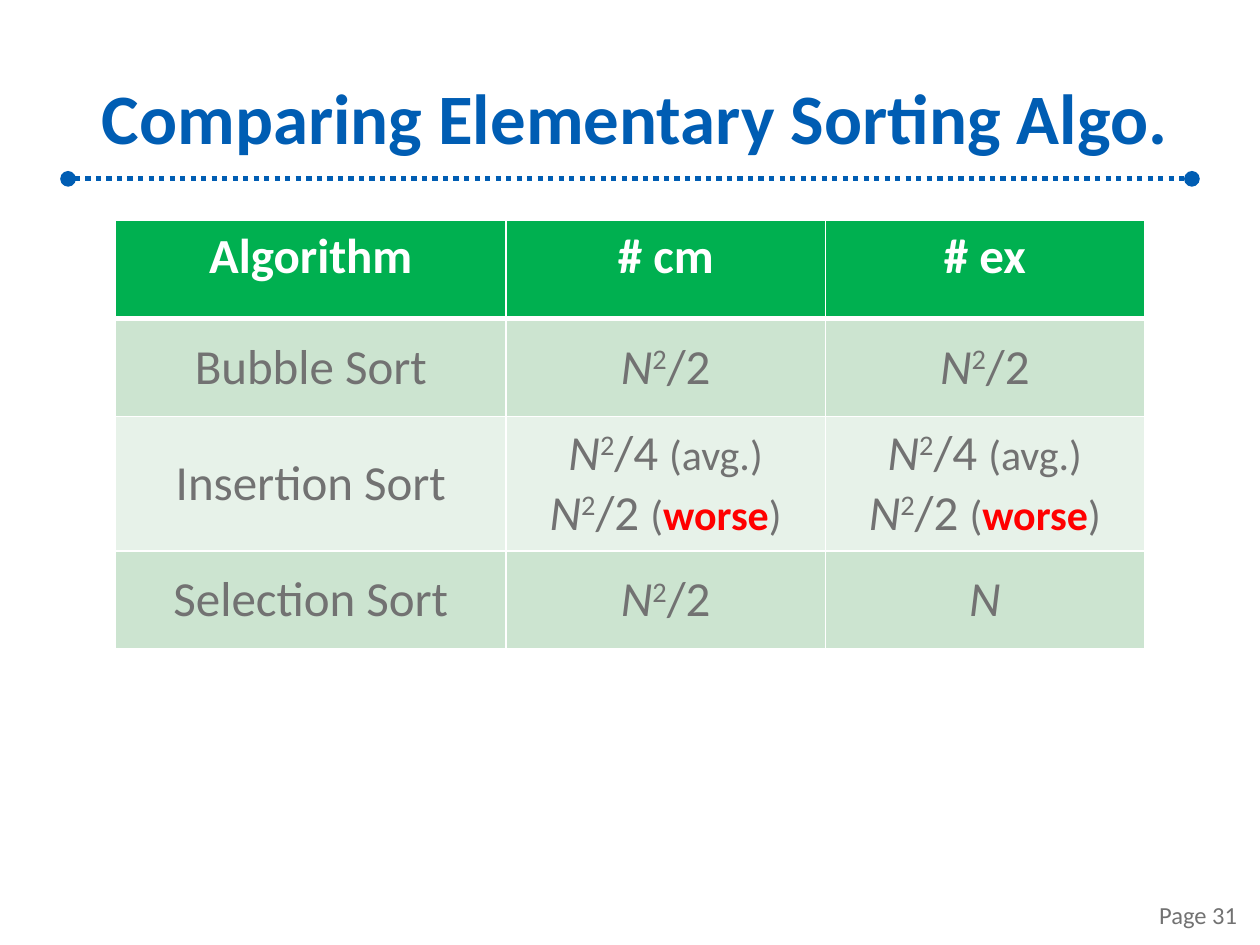
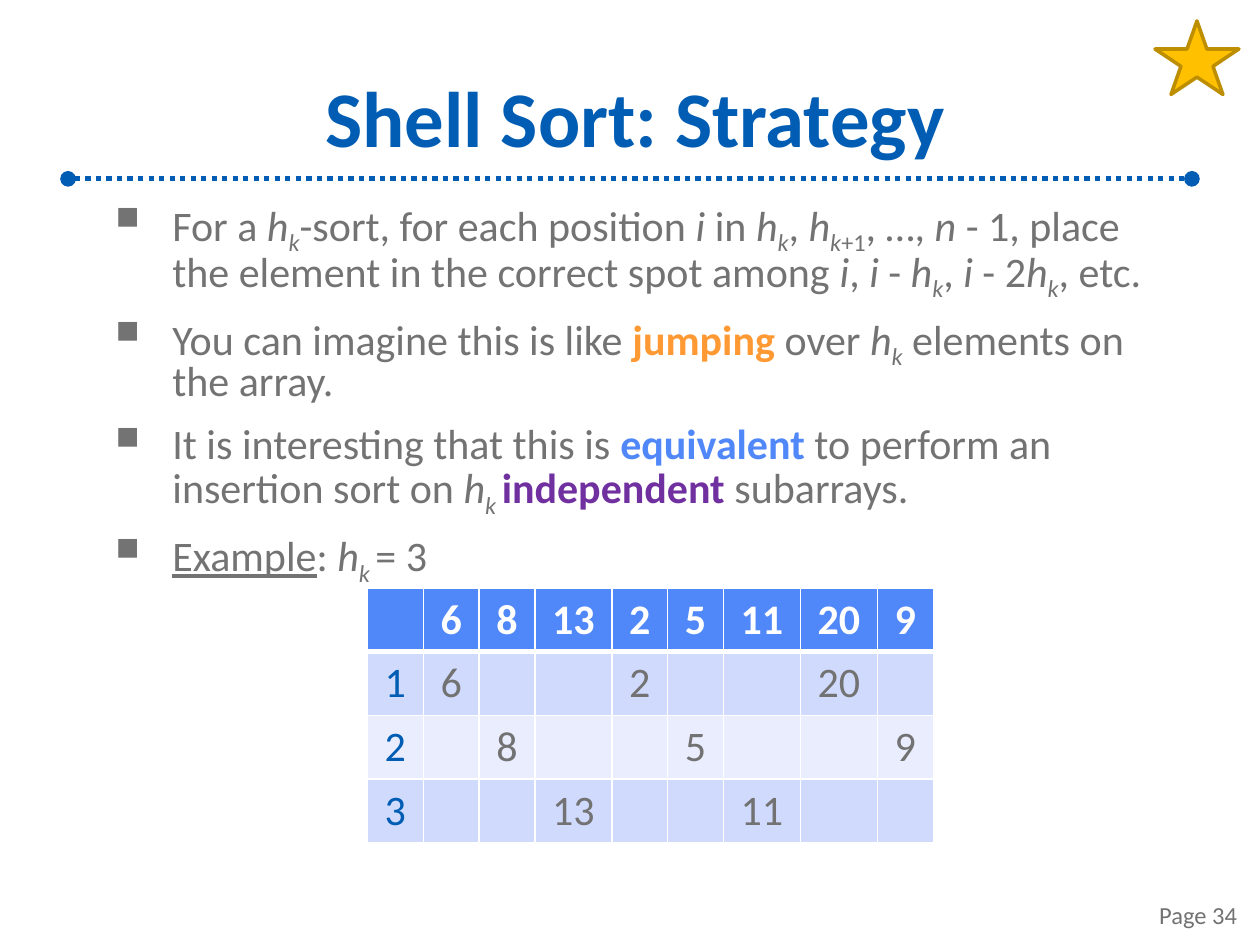
"""Builds two slides on elementary sorting algorithms and Shell sort."""
from lxml import etree
from pptx import Presentation
from pptx.dml.color import RGBColor
from pptx.enum.dml import MSO_LINE
from pptx.enum.shapes import MSO_CONNECTOR, MSO_SHAPE
from pptx.enum.text import MSO_ANCHOR, PP_ALIGN
from pptx.oxml.ns import qn
from pptx.util import Pt

CENTER, RIGHT = PP_ALIGN.CENTER, PP_ALIGN.RIGHT
TOP, MIDDLE, BOTTOM = MSO_ANCHOR.TOP, MSO_ANCHOR.MIDDLE, MSO_ANCHOR.BOTTOM
STRAIGHT, STAR, DOTTED = MSO_CONNECTOR.STRAIGHT, MSO_SHAPE.STAR_5_POINT, MSO_LINE.ROUND_DOT

FONT = "Calibri"
WHITE = RGBColor(0xFF, 0xFF, 0xFF)
NAVY = RGBColor(0x00, 0x5D, 0xB3)
GRAY = RGBColor(0x72, 0x72, 0x72)
BODY_GRAY = RGBColor(0x73, 0x73, 0x73)
RED = RGBColor(0xFF, 0x00, 0x00)
ORANGE = RGBColor(0xFF, 0x99, 0x33)
PURPLE = RGBColor(0x70, 0x30, 0xA0)
GREEN = RGBColor(0x00, 0xB0, 0x50)
GREEN_BANDS = (RGBColor(0xCC, 0xE4, 0xD0), RGBColor(0xE7, 0xF2, 0xE9))
BLUE = RGBColor(0x51, 0x88, 0xF9)
BLUE_BANDS = (RGBColor(0xD0, 0xDA, 0xFD), RGBColor(0xE9, 0xED, 0xFE))
GOLD = RGBColor(0xFF, 0xC0, 0x00)
DARK_GOLD = RGBColor(0xBD, 0x8E, 0x00)

ITALIC = {"italic": True}
SUBSCRIPT = {"italic": True, "baseline": -25}
SUPERSCRIPT = {"baseline": 30}
SMALL = {"size": 24}

H_K = [("h", ITALIC), ("k", SUBSCRIPT)]
H_K_SPACED = [("h", ITALIC), ("k ", SUBSCRIPT)]
I = ("i", ITALIC)
N_SQUARED = [("N", ITALIC), ("2", SUPERSCRIPT)]
HALF = [*N_SQUARED, "/2"]
AVERAGE_AND_WORSE = [
    *N_SQUARED, "/4 ", ("(avg.)", SMALL), "\n",
    *N_SQUARED, "/2 ", ("(", SMALL),
    ("worse", {"size": 24, "color": RED, "bold": True}), (")", SMALL),
]
COMPARISON = [
    ["Algorithm", "# cm", "# ex"],
    ["Bubble Sort", HALF, HALF],
    ["Insertion Sort", AVERAGE_AND_WORSE, AVERAGE_AND_WORSE],
    ["Selection Sort", HALF, [("N", ITALIC)]],
]
STRATEGY = [
    ["For a ", *H_K, "-sort, for each position ", I, " in ", *H_K, ", ", *H_K,
     ("+1", {"baseline": -25}), ", …, ", ("n", ITALIC),
     " - 1, place the element in the correct spot among ", I, ", ", I, " - ", *H_K,
     ", ", I, " - 2", *H_K, ", etc."],
    ["You can imagine this is like ", ("jumping", {"color": ORANGE, "bold": True}),
     " over ", *H_K, " elements on the array."],
    ["It is interesting that this is ", ("equivalent", {"color": BLUE, "bold": True}),
     " to perform an insertion sort on ", *H_K_SPACED,
     ("independent", {"color": PURPLE, "bold": True}), " subarrays."],
    [("Example", {"underline": True}), ": ", *H_K_SPACED, "= 3"],
]
NUMBERS = ["6", "8", "13", "2", "5", "11", "20", "9"]
GAP = 3


def format_run(run, size, color, bold=False, italic=False, underline=False, baseline=0):
    """Apply the character style to a run."""
    font = run.font
    font.name, font.size, font.color.rgb = FONT, Pt(size), color
    font.bold, font.italic, font.underline = bold, italic, underline
    if baseline:
        run._r.get_or_add_rPr().set("baseline", str(baseline * 1000))


def write(paragraph, content, align=None, **base):
    """Fill a paragraph with a string or a list of styled pieces."""
    paragraph.alignment = align
    for piece in [content] if isinstance(content, str) else content:
        if piece == "\n":
            paragraph.add_line_break()
            continue
        text, style = (piece, {}) if isinstance(piece, str) else piece
        run = paragraph.add_run()
        run.text = text
        format_run(run, **{**base, **style})


def add_text_frame(slide, left, top, width, height, anchor, inset=None):
    """Add a wrapping text box and return its frame."""
    frame = slide.shapes.add_textbox(Pt(left), Pt(top), Pt(width), Pt(height)).text_frame
    frame.word_wrap = True
    frame.vertical_anchor = anchor
    if inset is not None:
        frame.margin_left = frame.margin_right = Pt(inset)
        frame.margin_top = frame.margin_bottom = Pt(inset)
    return frame


def add_title_rule(slide):
    """Draw the dotted rule with round ends below the title."""
    rule = slide.shapes.add_connector(STRAIGHT, Pt(38.9), Pt(102.2), Pt(681.1), Pt(102.2))
    rule.line.color.rgb = NAVY
    rule.line.width = Pt(3)
    rule.line.dash_style = DOTTED
    outline = rule.line._get_or_add_ln()
    for end in ("a:headEnd", "a:tailEnd"):
        etree.SubElement(outline, qn(end), type="oval")
    etree.SubElement(rule._element.spPr, qn("a:effectLst"))


def add_base_slide(deck, title, title_size, page):
    """Add a blank slide with the shared rule, title and page number."""
    slide = deck.slides.add_slide(deck.slide_layouts[6])
    add_title_rule(slide)
    heading = add_text_frame(slide, 48, 30, 630, 73, MIDDLE, 3)
    write(heading.paragraphs[0], title, CENTER, size=title_size, color=NAVY, bold=True)
    footer = add_text_frame(slide, 630, 497, 84, 37.5, BOTTOM)
    write(footer.paragraphs[0], f"Page {page}", RIGHT, size=14, color=GRAY)
    return slide


def set_borders(cell, top, bottom):
    """Give a cell white borders, with its own top and bottom widths."""
    properties = cell._tc.get_or_add_tcPr()
    for side, width in (("L", 1), ("R", 1), ("T", top), ("B", bottom)):
        border = etree.SubElement(properties, qn(f"a:ln{side}"), w=str(Pt(width)))
        fill = etree.SubElement(border, qn("a:solidFill"))
        etree.SubElement(fill, qn("a:srgbClr"), val=str(WHITE))


def add_banded_table(slide, left, top, widths, heights, rows, size, head, bands,
                     head_anchor=MIDDLE, label_color=GRAY):
    """Add a table with a coloured header row and alternating bands."""
    table = slide.shapes.add_table(len(rows), len(widths), Pt(left), Pt(top),
                                   Pt(sum(widths)), Pt(sum(heights))).table
    table.horz_banding = False
    for column, width in zip(table.columns, widths):
        column.width = Pt(width)
    for r, (contents, height) in enumerate(zip(rows, heights)):
        table.rows[r].height = Pt(height)
        is_head = r == 0
        for c, content in enumerate(contents):
            cell = table.cell(r, c)
            set_borders(cell, 3 if r == 1 else 1, 3 if is_head else 1)
            cell.fill.solid()
            cell.fill.fore_color.rgb = head if is_head else bands[(r - 1) % 2]
            cell.vertical_anchor = head_anchor if is_head else MIDDLE
            color = WHITE if is_head else label_color if c == 0 else GRAY
            if content:
                write(cell.text_frame.paragraphs[0], content, CENTER,
                      size=size, color=color, bold=is_head)


def add_bullets(slide, items):
    """Add the body text with square bullets."""
    frame = add_text_frame(slide, 48, 114, 630, 246, TOP, 3)
    for index, item in enumerate(items):
        paragraph = frame.add_paragraph() if index else frame.paragraphs[0]
        paragraph.line_spacing = 0.8
        paragraph.space_before = Pt(12.6)
        properties = paragraph._p.get_or_add_pPr()
        properties.set("marL", str(Pt(47.5)))
        properties.set("indent", str(Pt(-32.4)))
        etree.SubElement(properties, qn("a:buSzPct"), val="77000")
        etree.SubElement(properties, qn("a:buChar"), char="■")
        write(paragraph, item, size=24, color=BODY_GRAY)


def add_star(slide):
    """Add the gold star in the top right corner."""
    star = slide.shapes.add_shape(STAR, Pt(660), Pt(12), Pt(48), Pt(42))
    star.shadow.inherit = False
    star.fill.solid()
    star.fill.fore_color.rgb = GOLD
    star.line.color.rgb = DARK_GOLD
    star.line.width = Pt(2)


def subarray_rows():
    """Spread the numbers over one row per subarray."""
    rows = [["", *NUMBERS]]
    for start in range(GAP):
        members = [n if i % GAP == start else "" for i, n in enumerate(NUMBERS)]
        rows.append([str(start + 1), *members])
    return rows


def main():
    """Build and save the deck."""
    deck = Presentation()
    deck.slide_width, deck.slide_height = Pt(720), Pt(540)

    comparison = add_base_slide(deck, "Comparing Elementary Sorting Algo.", 40.5, 31)
    add_banded_table(comparison, 66, 126, [223.2, 182.4, 182.4], [56, 56, 77, 56],
                     COMPARISON, 28, GREEN, GREEN_BANDS, head_anchor=TOP)

    strategy = add_base_slide(deck, "Shell Sort: Strategy", 45, 34)
    add_bullets(strategy, STRATEGY)
    widths = [44 if len(number) > 1 else 31.9 for number in ["", *NUMBERS]]
    add_banded_table(strategy, 210, 336, widths, [36.4] * (GAP + 1),
                     subarray_rows(), 24, BLUE, BLUE_BANDS, label_color=NAVY)
    add_star(strategy)

    deck.save("out.pptx")


main()
